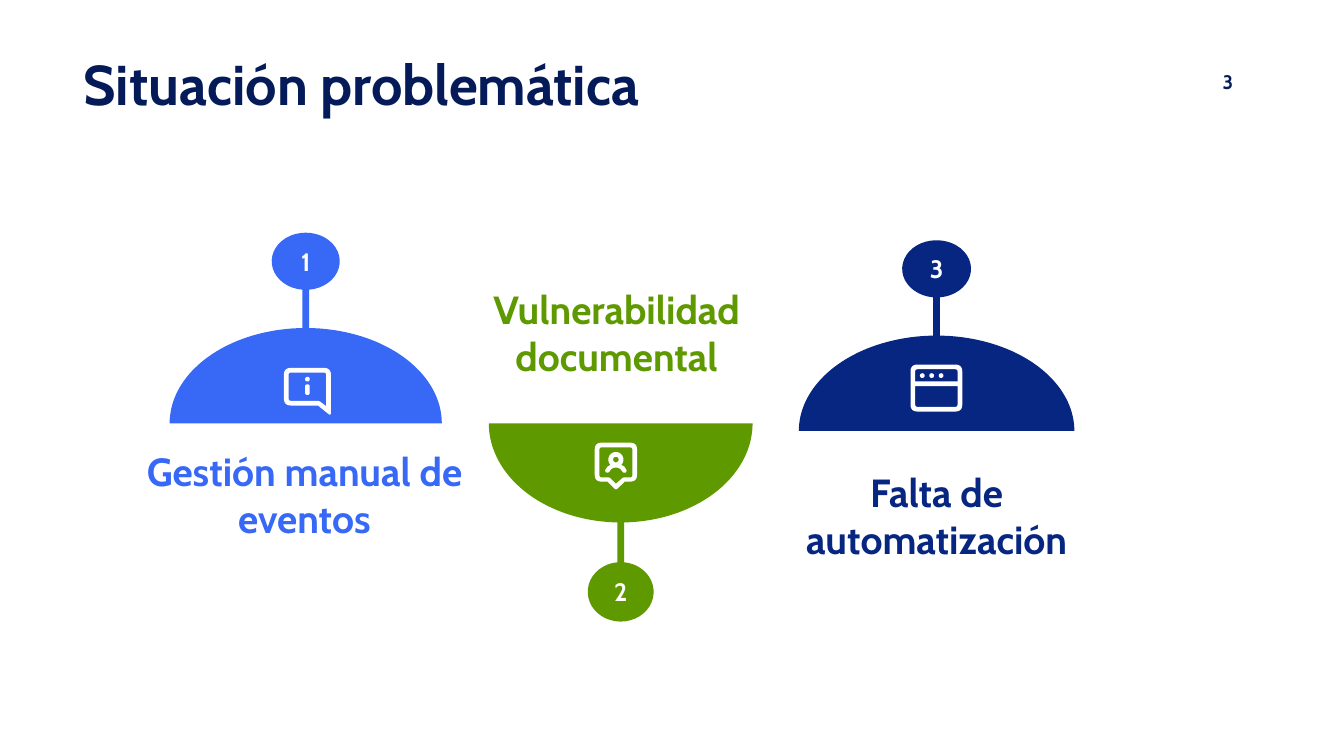
from dataclasses import dataclass
from math import asin, cos, degrees, dist, radians, sin

from pptx import Presentation
from pptx.dml.color import RGBColor as Rgb
from pptx.enum.shapes import MSO_SHAPE as Shape
from pptx.enum.text import MSO_ANCHOR as Anchor, PP_ALIGN as Align
from pptx.util import Emu, Pt

# Slide grid: 16 columns by 9 rows of square cells
CELL = 762000
COLS, ROWS = 16, 9
UNIT = 0.56 / 20  # icon unit in cells
STEM = 0.04       # half width of a stem, in cells
FONT = "Cabin"

WHITE = Rgb(0xFF, 0xFF, 0xFF)
INK = Rgb(0x04, 0x1A, 0x59)
BLUE = Rgb(0x37, 0x69, 0xF6)
GREEN = Rgb(0x5E, 0x99, 0x00)
NAVY = Rgb(0x06, 0x26, 0x81)

Point = tuple[float, float]
Path = list[Point]


@dataclass
class Box:
    col: float
    row: float
    wide: float
    high: float


@dataclass
class Step:
    label: str
    color: Rgb
    mid: float    # column of the axis
    base: float   # row of the flat side
    half: float   # half width of the dome
    high: float   # base to far end of the badge
    side: int     # 1 points up, -1 points down
    box: Box
    icon: Point
    paths: list[Path]


def emu(cells: float) -> Emu:
    return Emu(round(cells * CELL))


def arc(x: float, y: float, rx: float, ry: float,
        start: float, end: float, count: int = 40) -> Path:
    turns = [radians(start + (end - start) * i / count) for i in range(count + 1)]
    return [(x + rx * cos(t), y + ry * sin(t)) for t in turns]


def dot(x: float, y: float, size: float = 1) -> Path:
    return arc(x, y, size, size, 0, 360, 20)


def bend(path: Path, radii: list[float]) -> Path:
    """Round each corner of a polygon by its own radius."""
    out: Path = []
    for i, (spot, size) in enumerate(zip(path, radii)):
        ends = []
        for near in (path[i - 1], path[(i + 1) % len(path)]):
            part = size / dist(spot, near)
            ends.append([s + (n - s) * part for s, n in zip(spot, near)])
        for k in range(7):
            t = k / 6
            x, y = ((1 - t) ** 2 * a + 2 * t * (1 - t) * s + t * t * b
                    for a, s, b in zip(ends[0], spot, ends[1]))
            out.append((x, y))
    return out


def rect(x: float, y: float, right: float, low: float,
         top: float, foot: float) -> Path:
    return bend([(x, y), (right, y), (right, low), (x, low)],
                [top, top, foot, foot])


def paint(shape, color: Rgb) -> None:
    shape.shadow.inherit = False
    shape.fill.solid()
    shape.fill.fore_color.rgb = color
    shape.line.fill.background()


def draw(shapes, paths: list[Path], color: Rgb) -> None:
    grid = [[(emu(x), emu(y)) for x, y in path] for path in paths]
    pen = shapes.build_freeform(*grid[0][0])
    pen.add_line_segments(grid[0][1:], close=True)
    for path in grid[1:]:
        pen.move_to(*path[0])
        pen.add_line_segments(path[1:], close=True)
    paint(pen.convert_to_shape(), color)


def write(frame, text: str, size: int, color: Rgb, align: Align):
    para = frame.paragraphs[0]
    para.text = text
    para.alignment = align
    font = para.font
    font.name, font.size, font.bold = FONT, Pt(size), True
    font.color.rgb = color
    return para


def place(shapes, box: Box, text: str, size: int, color: Rgb,
          align: Align = Align.CENTER, anchor: Anchor = Anchor.TOP):
    area = shapes.add_textbox(emu(box.col), emu(box.row), emu(box.wide), emu(box.high))
    frame = area.text_frame
    frame.word_wrap = True
    frame.vertical_anchor = anchor
    return write(frame, text, size, color, align)


def add_step(shapes, step: Step, num: int) -> None:
    group = shapes.add_group_shape().shapes
    rise = step.high * 0.5
    rx, ry = step.half * 0.25, step.high * 0.15
    hub = step.high - ry

    # Dome, stem and badge in one outline
    gap = degrees(asin(STEM / step.half))
    slit = degrees(asin(STEM / rx))
    edge = (arc(0, 0, step.half, rise, 180, 90 + gap)
            + arc(0, hub, rx, ry, 270 - slit, slit - 90)
            + arc(0, 0, step.half, rise, 90 - gap, 0))
    draw(group, [[(step.mid + x, step.base - step.side * y) for x, y in edge]],
         step.color)

    # Numbered disc
    rx, ry = rx * 0.77, ry * 0.77
    disc = group.add_shape(Shape.OVAL, emu(step.mid - rx),
                           emu(step.base - step.side * hub - ry),
                           emu(2 * rx), emu(2 * ry))
    paint(disc, step.color)
    disc.text_frame.word_wrap = False
    disc.text_frame.vertical_anchor = Anchor.MIDDLE
    write(disc.text_frame, str(num), 18, WHITE, Align.CENTER)

    # Label and icon
    place(shapes, step.box, step.label, 28, step.color)
    col, row = step.icon
    draw(shapes, [[(col + x * UNIT, row + y * UNIT) for x, y in path]
                  for path in step.paths], WHITE)


# Icons, in icon units
INFO = [
    bend([(0, 0), (20, 0), (20, 20.5), (14.5, 16), (0, 16)], [3, 3, 1.5, 0, 3]),
    bend([(2, 2), (18, 2), (18, 16.3), (15, 14), (2, 14)], [1, 1, 0, 1, 1]),
    rect(9, 7, 11, 11.5, 1, 1),
    dot(10, 4.8),
]
PERSON = [
    bend([(0, 0), (18, 0), (18, 16.6), (12.8, 16.6), (9, 20.2), (5.5, 16.6),
          (0, 16.6)], [3, 3, 3, 0, 1, 0, 3]),
    bend([(2, 2), (16, 2), (16, 14.8), (12.1, 14.8), (9, 17.5), (6.3, 14.8),
          (2, 14.8)], [1, 1, 1, 0.5, 0, 0.5, 1]),
    arc(9, 7.2, 3.2, 3.2, 135, 405)
    + [(12.6, 10.2), (13.6, 11.8), (13.3, 12.7), (12.3, 12.8), (11.7, 12.2)]
    + arc(9, 12.6, 2.6, 2, -20, -160, 12)
    + [(6.2, 12.4), (5.6, 12.8), (4.7, 12.6), (4.4, 11.8), (5.4, 10.2)],
    dot(9, 7.2, 1.2),
]
WINDOW = [
    rect(0, 0, 22, 20, 3, 3),
    rect(2, 2, 20, 7.2, 1, 0),
    rect(2, 9.2, 20, 18, 0, 1),
    *(dot(x, 4.7) for x in (5, 9, 13)),
]

STEPS = [
    Step("Gestión manual de eventos", BLUE, 3.64, 5.04, 1.62, 2.27, 1,
         Box(1.52, 5.27, 4.21, 1.7), (3.38, 4.38), INFO),
    Step("Vulnerabilidad documental", GREEN, 7.39, 5.04, 1.57, 2.36, -1,
         Box(5.2, 3.34, 4.28, 1.25), (7.08, 5.27), PERSON),
    Step("Falta de automatización", NAVY, 11.15, 5.13, 1.64, 2.27, 1,
         Box(9.35, 5.52, 3.6, 1.25), (10.84, 4.34), WINDOW),
]


def main() -> None:
    deck = Presentation()
    deck.slide_width, deck.slide_height = emu(COLS), emu(ROWS)
    shapes = deck.slides.add_slide(deck.slide_layouts[6]).shapes

    # Heading and page number
    place(shapes, Box(11.2, 0.77, 3.6, 0.48), "3", 14, INK, Align.RIGHT)
    head = place(shapes, Box(0.88, 0.53, 7.31, 1.02), "Situación problemática",
                 40, INK, Align.LEFT, Anchor.MIDDLE)
    head.line_spacing = 0.9

    for num, step in enumerate(STEPS, 1):
        add_step(shapes, step, num)

    deck.save("out.pptx")


if __name__ == "__main__":
    main()
